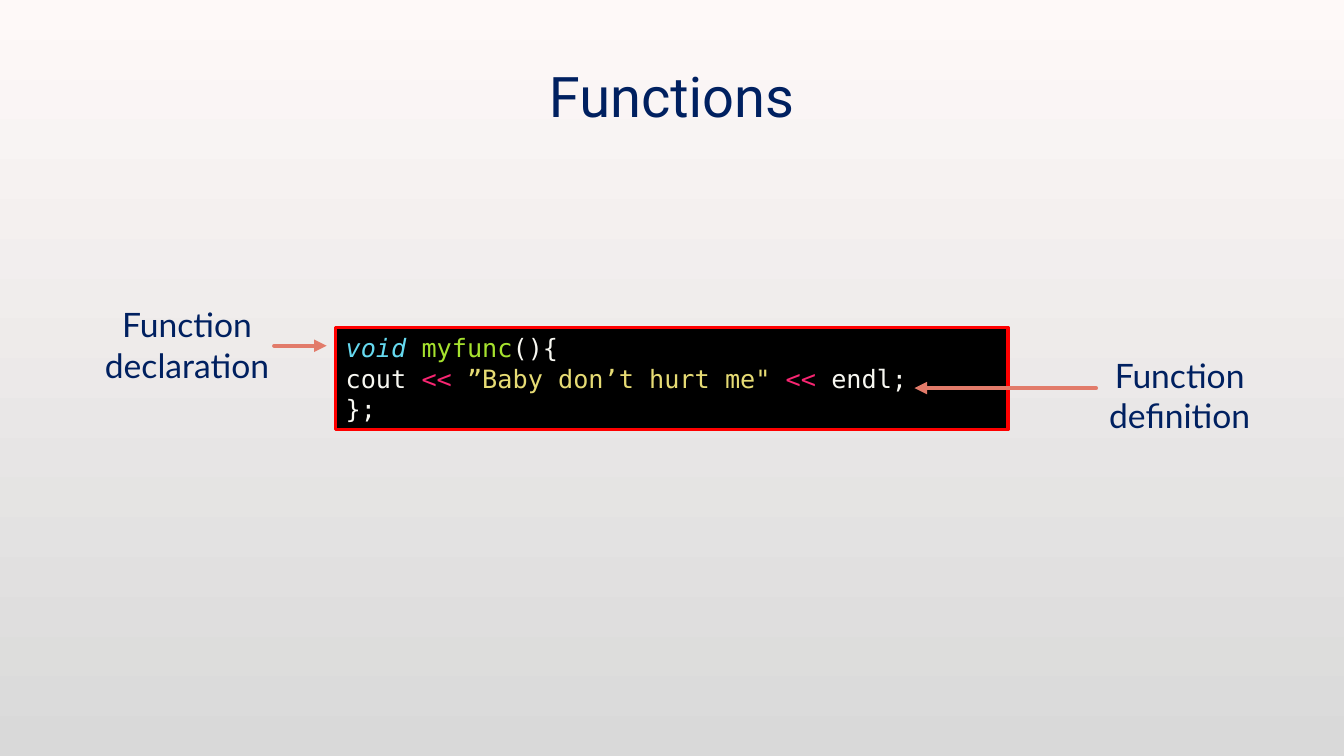
from lxml import etree
from pptx import Presentation
from pptx.dml.color import RGBColor
from pptx.enum.shapes import MSO_CONNECTOR, MSO_SHAPE
from pptx.enum.text import MSO_ANCHOR, PP_ALIGN
from pptx.oxml import parse_xml
from pptx.oxml.ns import qn
from pptx.util import Inches, Pt

CENTER, LEFT = PP_ALIGN.CENTER, PP_ALIGN.LEFT
NS = 'xmlns:a="http://schemas.openxmlformats.org/drawingml/2006/main"'
COLORS = {
    "top": "FEF9F8", "bottom": "D9D9D9", "navy": "002060", "arrow": "E27B6A",
    "black": "000000", "border": "FF0000", "outline": "404040",
    "keyword": "66D9EF", "name": "A6E22E", "plain": "F8F8F2",
    "operator": "F92672", "string": "E6DB74",
}


def rgb(name):
    return RGBColor.from_string(COLORS[name])


def add_text(p, text, size=24, font="Lato", color="navy", italic=False, align=CENTER):
    p.alignment = align
    r = p.add_run()
    r.text = text
    r.font.size, r.font.name, r.font.italic = Pt(size), font, italic
    r.font.color.rgb = rgb(color)
    return r


prs = Presentation()
prs.slide_width, prs.slide_height = Inches(13.33), Inches(7.5)
s = prs.slides.add_slide(prs.slide_layouts[5])

# Background
fill = s.background.fill
fill.gradient()
fill.gradient_angle = 270
for stop, name in zip(fill.gradient_stops, ("top", "bottom")):
    stop.color.rgb = rgb(name)

# Title with a faint outline and a soft shadow
title = s.shapes.title
title.left, title.top, title.width, title.height = map(Inches, (1, 0.25, 11.32, 1.38))
title.text_frame.vertical_anchor = MSO_ANCHOR.MIDDLE
r = add_text(title.text_frame.paragraphs[0], "Functions", size=40, font="Roboto")
rPr = r.font._element
rPr.insert(0, parse_xml(
    f'<a:ln {NS} w="9525"><a:solidFill><a:srgbClr val="{COLORS["outline"]}">'
    '<a:alpha val="10000"/></a:srgbClr></a:solidFill></a:ln>'))
rPr.insert(2, parse_xml(
    f'<a:effectLst {NS}><a:outerShdw blurRad="38100" dist="38100" dir="2700000">'
    '<a:srgbClr val="000000"><a:alpha val="43000"/></a:srgbClr></a:outerShdw></a:effectLst>'))

# Code box
box = s.shapes.add_shape(MSO_SHAPE.RECTANGLE, *map(Inches, (3.33, 3.25, 6.67, 1.01)))
box.shadow.inherit = False
box.fill.solid()
box.fill.fore_color.rgb = rgb("black")
box.line.color.rgb = rgb("border")
box.line.width = Pt(2.5)
tf = box.text_frame
tf.word_wrap = True
tf.vertical_anchor = MSO_ANCHOR.TOP
code = [
    [("void ", "keyword"), ("myfunc", "name"), ("(){", "plain")],
    [("cout ", "plain"), ("<< ", "operator"), ("”Baby don’t hurt me\" ", "string"),
     ("<< ", "operator"), ("endl;", "plain")],
    [("};", "plain")],
]
for i, line in enumerate(code):
    p = tf.add_paragraph() if i else tf.paragraphs[0]
    for text, color in line:
        add_text(p, text, size=18, font="DejaVu Sans Mono", color=color,
                 italic=color == "keyword", align=LEFT)

# Labels and their arrows: text, left, top, width, arrow start, arrow end, arrow height
labels = [
    ("Function declaration", 0.94, 2.97, 1.83, 2.72, 3.24, 3.43),
    ("Function definition", 10.76, 3.47, 1.88, 10.87, 9.07, 3.85),
]
for text, left, top, width, start, end, y in labels:
    arrow = s.shapes.add_connector(MSO_CONNECTOR.STRAIGHT, *map(Inches, (start, y, end, y)))
    arrow.line.color.rgb = rgb("arrow")
    arrow.line.width = Pt(3)
    ln = arrow.line._get_or_add_ln()
    ln.set("cap", "rnd")
    etree.SubElement(ln, qn("a:round"))
    etree.SubElement(ln, qn("a:tailEnd"), type="triangle")
    etree.SubElement(arrow._element.spPr, qn("a:effectLst"))

    tf = s.shapes.add_textbox(*map(Inches, (left, top, width, 0.91))).text_frame
    tf.word_wrap = True
    add_text(tf.paragraphs[0], text)

prs.save("out.pptx")
